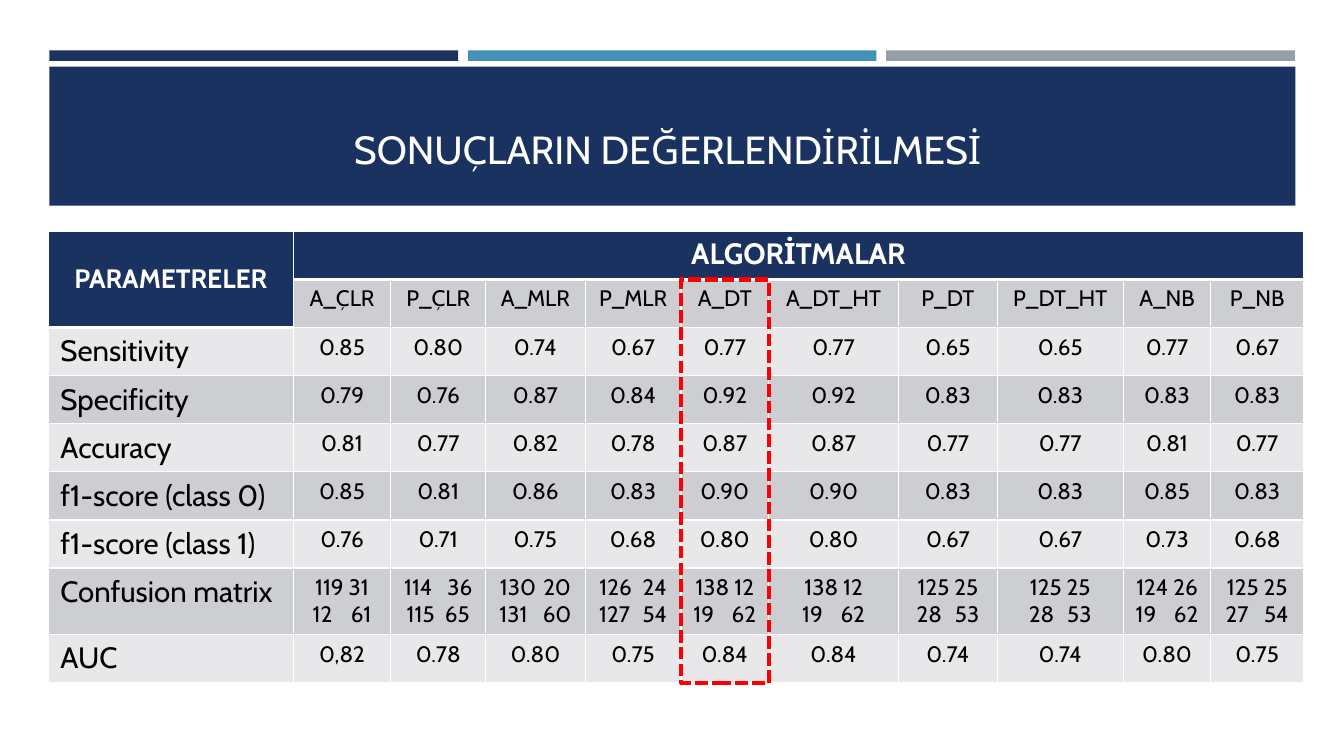
import dataclasses
import itertools
import typing

import pptx
import pptx.dml.color
import pptx.enum.dml
import pptx.enum.shapes
import pptx.enum.text
import pptx.oxml.ns
import pptx.slide
import pptx.table
import pptx.text.text
import pptx.util
from lxml import etree

ALIGN = pptx.enum.text.PP_ALIGN
ANCHOR = pptx.enum.text.MSO_ANCHOR
RECTANGLE = pptx.enum.shapes.MSO_SHAPE.RECTANGLE
SLIDE_WIDTH = pptx.util.Inches(13.33)
SLIDE_HEIGHT = pptx.util.Inches(7.5)
GRID = 100


@dataclasses.dataclass(frozen=True)
class Theme:
    font: str = "Cabin"
    navy: str = "1A3260"
    blue: str = "4590B8"
    gray: str = "969FA7"
    white: str = "FFFFFF"
    black: str = "000000"
    red: str = "FF0000"
    dark_band: str = "CDCED2"
    light_band: str = "E8E8EA"
    title_size: int = 28
    label_size: int = 21
    corner_size: int = 19
    value_size: int = 16
    thin_line: int = 1
    thick_line: int = 3


THEME = Theme()


@dataclasses.dataclass(frozen=True)
class Area:
    left: float
    top: float
    width: float
    height: float

    def lengths(self) -> tuple[int, int, int, int]:
        return (
            int(SLIDE_WIDTH * self.left / GRID),
            int(SLIDE_HEIGHT * self.top / GRID),
            int(SLIDE_WIDTH * self.width / GRID),
            int(SLIDE_HEIGHT * self.height / GRID),
        )


@dataclasses.dataclass(frozen=True)
class Style:
    size: int
    color: str = THEME.black
    bold: bool = False
    align: ALIGN = ALIGN.CENTER
    margins: tuple[float, float] = (0.12, 0.06)
    anchor: ANCHOR = ANCHOR.TOP


@dataclasses.dataclass(frozen=True)
class Line:
    text: str
    number: typing.Optional[int] = None
    indent: float = 0.38


TITLE = Style(THEME.title_size, THEME.white, anchor=ANCHOR.MIDDLE)
CORNER = Style(THEME.corner_size, THEME.white, True, margins=(0.09, 0.05), anchor=ANCHOR.MIDDLE)
GROUP = Style(THEME.label_size, THEME.white, True, margins=(0.09, 0.05))
LABEL = Style(THEME.label_size, align=ALIGN.LEFT)
VALUE = Style(THEME.value_size)

ACCENT_COLORS = (THEME.navy, THEME.blue, THEME.gray)
ACCENT = Area(3.68, 6.67, 30.4, 1.4)
ACCENT_STEP = 31.13
TITLE_BAND = Area(3.68, 8.8, 92.7, 18.4)
TITLE_BOX = Area(4.42, 10.6, 90.5, 18.1)
RESULTS = Area(3.6, 30.6, 93.4, 59.73)
COLUMN_WEIGHTS = (2.43, 0.97, 0.94, 0.99, 0.95, 0.87, 1.29, 0.98, 1.25, 0.87, 0.92)
MATRIX_ROW = 7
MATRIX_HEIGHT = 8.8
ROW_COUNT = 9
ROW_HEIGHT = (RESULTS.height - MATRIX_HEIGHT) / (ROW_COUNT - 1)
BEST_COLUMN = 5

ALGORITHMS = "A_ÇLR P_ÇLR A_MLR P_MLR A_DT A_DT_HT P_DT P_DT_HT A_NB P_NB".split()
SCORES = {
    "Sensitivity": "0.85 0.80 0.74 0.67 0.77 0.77 0.65 0.65 0.77 0.67",
    "Specificity": "0.79 0.76 0.87 0.84 0.92 0.92 0.83 0.83 0.83 0.83",
    "Accuracy": "0.81 0.77 0.82 0.78 0.87 0.87 0.77 0.77 0.81 0.77",
    "f1-score (class 0)": "0.85 0.81 0.86 0.83 0.90 0.90 0.83 0.83 0.85 0.83",
    "f1-score (class 1)": "0.76 0.71 0.75 0.68 0.80 0.80 0.67 0.67 0.73 0.68",
}
AUC = "0,82 0.78 0.80 0.75 0.84 0.84 0.74 0.74 0.80 0.75"
MATRICES = (
    (Line("119 31"), Line("61", 12)),
    (Line("36", 114, 0.43), Line("65", 16)),
    (Line("20", 130, 0.43), Line("60", 21, 0.43)),
    (Line("24", 126, 0.43), Line("54", 27, 0.43)),
    (Line("138 12"), Line("62", 19)),
    (Line("138 12"), Line("62", 19)),
    (Line("125 25"), Line("53", 28)),
    (Line("125 25"), Line("53", 28)),
    (Line("124 26"), Line("62", 19)),
    (Line("125 25"), Line("54", 27)),
)


def rgb(color: str) -> pptx.dml.color.RGBColor:
    return pptx.dml.color.RGBColor.from_string(color)


def number_paragraph(para: pptx.text.text._Paragraph, line: Line) -> None:
    properties = para._p.get_or_add_pPr()
    indent = pptx.util.Inches(line.indent)
    properties.set("marL", str(indent))
    properties.set("indent", str(-indent))
    bullet = etree.SubElement(properties, pptx.oxml.ns.qn("a:buAutoNum"))
    bullet.set("type", "arabicPlain")
    bullet.set("startAt", str(line.number))


def write_lines(frame: pptx.text.text.TextFrame, lines: typing.Sequence[Line], style: Style) -> None:
    frame.text = "\n".join(line.text for line in lines)
    for para, line in zip(frame.paragraphs, lines):
        para.alignment = style.align
        if line.number is not None:
            number_paragraph(para, line)
        for span in para.runs:
            span.font.name = THEME.font
            span.font.size = pptx.util.Pt(style.size)
            span.font.bold = style.bold
            span.font.color.rgb = rgb(style.color)


def draw_bar(page: pptx.slide.Slide, area: Area, color: str) -> None:
    bar = page.shapes.add_shape(RECTANGLE, *area.lengths())
    bar.shadow.inherit = False
    bar.fill.solid()
    bar.fill.fore_color.rgb = rgb(color)
    bar.line.fill.background()


def draw_title(page: pptx.slide.Slide, text: str) -> None:
    frame = page.shapes.add_textbox(*TITLE_BOX.lengths()).text_frame
    frame.word_wrap = True
    frame.vertical_anchor = TITLE.anchor
    write_lines(frame, [Line(text)], TITLE)


def border_cell(cell: pptx.table._Cell, bottom: int) -> None:
    properties = cell._tc.get_or_add_tcPr()
    widths = {"lnL": THEME.thin_line, "lnR": THEME.thin_line, "lnT": THEME.thin_line, "lnB": bottom}
    for position, (side, width) in enumerate(widths.items()):
        border = etree.Element(pptx.oxml.ns.qn(f"a:{side}"), w=str(pptx.util.Pt(width)))
        fill = etree.SubElement(border, pptx.oxml.ns.qn("a:solidFill"))
        etree.SubElement(fill, pptx.oxml.ns.qn("a:srgbClr"), val=THEME.white)
        properties.insert(position, border)


def fill_cell(cell: pptx.table._Cell, lines: typing.Sequence[Line], style: Style) -> None:
    cell.margin_left = cell.margin_right = pptx.util.Inches(style.margins[0])
    cell.margin_top = cell.margin_bottom = pptx.util.Inches(style.margins[1])
    cell.vertical_anchor = style.anchor
    write_lines(cell.text_frame, lines, style)


def draw_results(page: pptx.slide.Slide) -> None:
    grid = page.shapes.add_table(ROW_COUNT, len(COLUMN_WEIGHTS), *RESULTS.lengths()).table
    grid.first_row = grid.horz_banding = False
    for column, weight in zip(grid.columns, COLUMN_WEIGHTS):
        column.width = int(SLIDE_WIDTH * RESULTS.width / GRID * weight / sum(COLUMN_WEIGHTS))
    for index, row in enumerate(grid.rows):
        height = MATRIX_HEIGHT if index == MATRIX_ROW else ROW_HEIGHT
        row.height = int(SLIDE_HEIGHT * height / GRID)
    for row, column in itertools.product(range(ROW_COUNT), range(len(COLUMN_WEIGHTS))):
        cell = grid.cell(row, column)
        header = row == 0 or (row, column) == (1, 0)
        band = THEME.dark_band if row % 2 else THEME.light_band
        cell.fill.solid()
        cell.fill.fore_color.rgb = rgb(THEME.navy if header else band)
        border_cell(cell, THEME.thick_line if header else THEME.thin_line)
    grid.cell(0, 0).merge(grid.cell(1, 0))
    grid.cell(0, 1).merge(grid.cell(0, len(COLUMN_WEIGHTS) - 1))
    fill_cell(grid.cell(0, 0), [Line("PARAMETRELER")], CORNER)
    fill_cell(grid.cell(0, 1), [Line("ALGORİTMALAR")], GROUP)
    labels = [*SCORES, "Confusion matrix", "AUC"]
    for row, label in enumerate(labels, 2):
        fill_cell(grid.cell(row, 0), [Line(label)], LABEL)
    score_rows = [[(Line(score),) for score in scores.split()] for scores in (*SCORES.values(), AUC)]
    names = [(Line(name),) for name in ALGORITHMS]
    for row, entries in enumerate([names, *score_rows[:-1], MATRICES, score_rows[-1]], 1):
        for column, lines in enumerate(entries, 1):
            fill_cell(grid.cell(row, column), lines, VALUE)


def draw_highlight(page: pptx.slide.Slide) -> None:
    share = RESULTS.width / sum(COLUMN_WEIGHTS)
    left = RESULTS.left + share * sum(COLUMN_WEIGHTS[:BEST_COLUMN])
    area = Area(left, RESULTS.top + ROW_HEIGHT, share * COLUMN_WEIGHTS[BEST_COLUMN], RESULTS.height - ROW_HEIGHT)
    frame = page.shapes.add_shape(RECTANGLE, *area.lengths())
    frame.shadow.inherit = False
    frame.fill.background()
    frame.line.color.rgb = rgb(THEME.red)
    frame.line.width = pptx.util.Pt(THEME.thick_line)
    frame.line.dash_style = pptx.enum.dml.MSO_LINE.SQUARE_DOT


def main() -> None:
    deck = pptx.Presentation()
    deck.slide_width, deck.slide_height = SLIDE_WIDTH, SLIDE_HEIGHT
    page = deck.slides.add_slide(deck.slide_layouts[6])
    for index, color in enumerate(ACCENT_COLORS):
        draw_bar(page, dataclasses.replace(ACCENT, left=ACCENT.left + index * ACCENT_STEP), color)
    draw_bar(page, TITLE_BAND, THEME.navy)
    draw_title(page, "SONUÇLARIN DEĞERLENDİRİLMESİ")
    draw_results(page)
    draw_highlight(page)
    deck.save("out.pptx")


if __name__ == "__main__":
    main()
